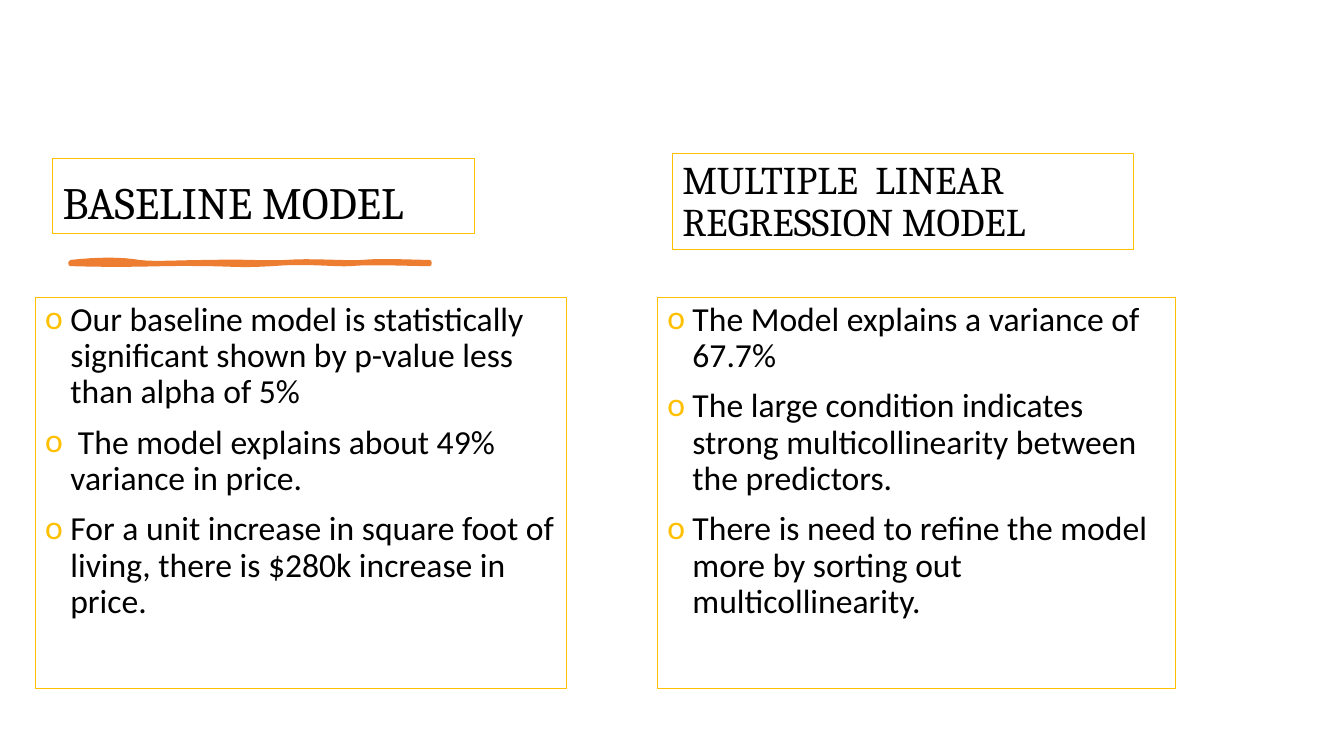
from dataclasses import dataclass

from lxml.etree import SubElement
from pptx import Presentation
from pptx.dml.color import RGBColor
from pptx.enum.text import MSO_ANCHOR, MSO_AUTO_SIZE, PP_ALIGN
from pptx.oxml.ns import qn
from pptx.util import Inches, Pt

GOLD = RGBColor(0xFF, 0xC0, 0x00)
ORANGE = RGBColor(0xED, 0x7D, 0x31)
BLACK = RGBColor(0, 0, 0)
Point = tuple[float, float]


@dataclass
class Panel:
    box: tuple[float, float, float, float]
    lines: list[str]
    font: str
    size: int
    listed: bool = False


BASE_HEAD = Panel((0.52, 1.57, 4.19, 0.75), ["BASELINE MODEL"], "Cambria", 32)
PANELS = [
    Panel((0.35, 2.95, 5.27, 3.88), [
        "Our baseline model is statistically significant shown by p-value less than alpha of 5%",
        " The model explains about 49% variance in price.",
        "For a unit increase in square foot of living, there is $280k increase in price.",
    ], "Calibri", 24, True),
    Panel((6.67, 1.52, 4.57, 0.96), ["MULTIPLE  LINEAR REGRESSION MODEL"], "Cambria", 28),
    Panel((6.52, 2.95, 5.14, 3.88), [
        "The Model explains a variance of 67.7%",
        "The large condition indicates strong multicollinearity between the predictors.",
        "There is need to refine the model more by sorting out multicollinearity.",
    ], "Calibri", 24, True),
]

# Each curve holds two control points and an end point.
START = (0.7, 2.6)
CURVES = [
    ((0.97, 2.57), (1.21, 2.57), (1.38, 2.6)),
    ((1.55, 2.62), (1.77, 2.6), (2.09, 2.6)),
    ((2.41, 2.59), (2.6, 2.61), (2.84, 2.6)),
    ((3.08, 2.58), (3.39, 2.61), (3.59, 2.6)),
    ((3.79, 2.58), (4.12, 2.6), (4.26, 2.6)),
    ((4.26, 2.6), (4.26, 2.61), (4.26, 2.62)),
    ((4.08, 2.62), (3.64, 2.6), (3.48, 2.62)),
    ((3.32, 2.63), (3.04, 2.59), (2.7, 2.62)),
    ((2.35, 2.64), (2.31, 2.62), (1.99, 2.62)),
    ((1.66, 2.61), (1.32, 2.64), (0.7, 2.62)),
]


def trace(start: Point, curves: list[tuple[Point, Point, Point]], steps: int = 8) -> list[Point]:
    """Sample a chain of cubic curves."""
    dots = []
    for one, two, end in curves:
        for step in range(1, steps + 1):
            t = step / steps
            u = 1 - t
            dots.append(tuple(
                u**3 * a + 3 * u * u * t * b + 3 * u * t * t * c + t**3 * d
                for a, b, c, d in zip(start, one, two, end)
            ))
        start = end
    return dots


def add_mark(para) -> None:
    """Give a paragraph a gold hanging bullet."""
    props = para._p.get_or_add_pPr()
    props.set("marL", str(Inches(0.25)))
    props.set("indent", str(-Inches(0.25)))
    color = SubElement(props, qn("a:buClr"))
    SubElement(color, qn("a:srgbClr"), val=str(GOLD))
    SubElement(props, qn("a:buFont"), typeface="Calibri")
    SubElement(props, qn("a:buChar"), char="o")


def fill_panel(shape, panel: Panel) -> None:
    shape.left, shape.top, shape.width, shape.height = map(Inches, panel.box)
    shape.line.color.rgb = GOLD
    shape.line.width = Pt(0.75)
    frame = shape.text_frame
    frame.word_wrap = True
    frame.auto_size = MSO_AUTO_SIZE.NONE
    frame.vertical_anchor = MSO_ANCHOR.TOP if panel.listed else MSO_ANCHOR.BOTTOM
    for index, line in enumerate(panel.lines):
        para = frame.add_paragraph() if index else frame.paragraphs[0]
        para.alignment = PP_ALIGN.LEFT
        para.line_spacing = 0.9
        para.space_before = Pt(10 if panel.listed else 0)
        if panel.listed:
            add_mark(para)
        run = para.add_run()
        run.text = line
        run.font.name = panel.font
        run.font.size = Pt(panel.size)
        run.font.color.rgb = BLACK


def add_stroke(slide) -> None:
    """Draw the brushed line under the title."""
    pen = slide.shapes.build_freeform(*map(Inches, START))
    pen.add_line_segments([(Inches(x), Inches(y)) for x, y in trace(START, CURVES)])
    stroke = pen.convert_to_shape()
    stroke.shadow.inherit = False
    stroke.fill.solid()
    stroke.fill.fore_color.rgb = ORANGE
    stroke.line.color.rgb = ORANGE
    stroke.line.width = Pt(3)


def main() -> None:
    deck = Presentation()
    deck.slide_width, deck.slide_height = Inches(13.33), Inches(7.5)
    slide = deck.slides.add_slide(deck.slide_layouts[5])
    fill_panel(slide.shapes.title, BASE_HEAD)
    add_stroke(slide)
    for panel in PANELS:
        fill_panel(slide.shapes.add_textbox(*map(Inches, panel.box)), panel)
    deck.save("out.pptx")


if __name__ == "__main__":
    main()
